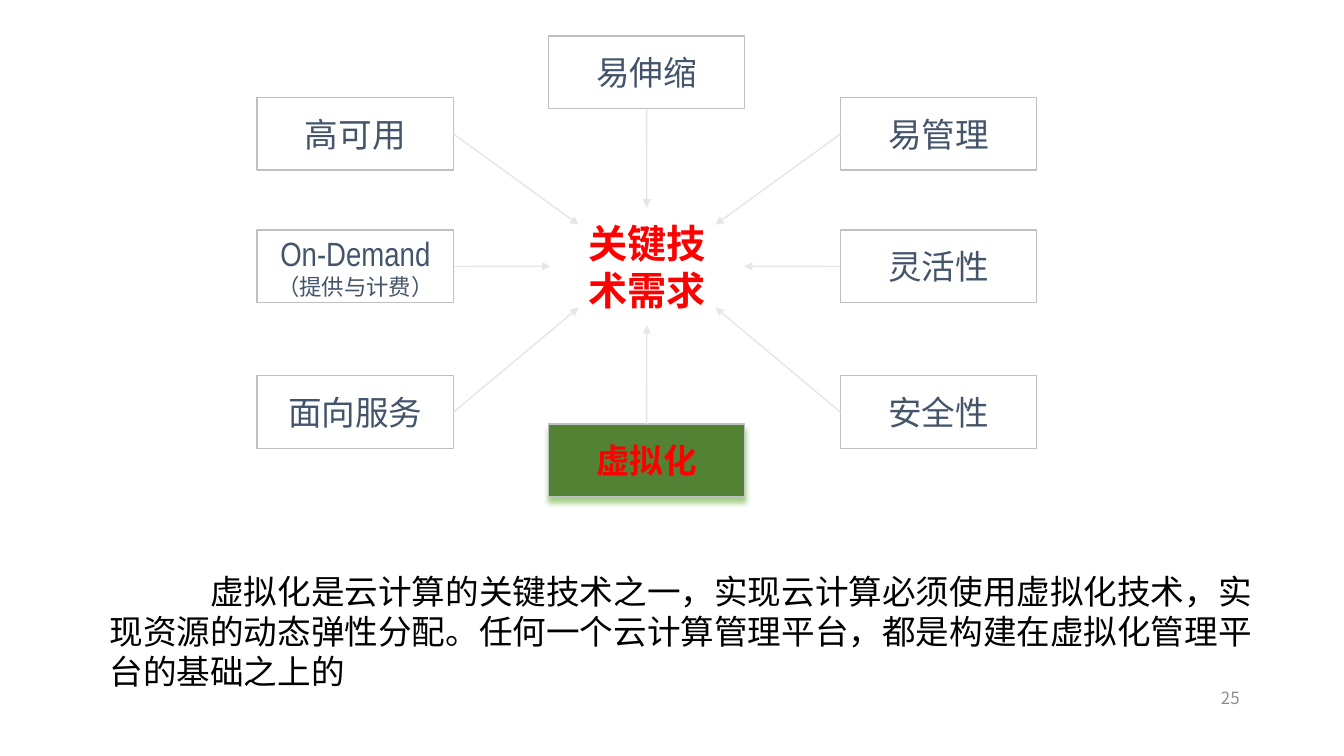
from dataclasses import dataclass
from lxml import etree
from pptx import Presentation
from pptx import util as u
from pptx.dml.color import RGBColor
from pptx.enum import shapes, text
from pptx.oxml.ns import qn


@dataclass(frozen=True)
class Theme:
    latin: str = "Arial Narrow"
    cjk: str = "Noto Sans CJK SC"
    white: str = "FFFFFF"
    border: str = "C0C0C0"
    arrow: str = "E7E6E6"
    label: str = "44546A"
    accent: str = "FF0000"
    green: str = "548235"
    glow: str = "A9D18E"
    body: str = "000000"
    muted: str = "8C8C8C"
    core_size: int = 28
    text_size: int = 24
    note_size: int = 16
    number_size: int = 12


T = Theme()


def write(sp, lines, color, font, bold=False, align=text.PP_ALIGN.CENTER,
          anchor=text.MSO_ANCHOR.MIDDLE, inset=(0.25, 0.25)):
    """Fill a shape with (wording, size) paragraphs; inset is (sides, top and bottom)."""
    tf = sp.text_frame
    tf.word_wrap = True
    tf.vertical_anchor = anchor
    tf.margin_left = tf.margin_right = u.Cm(inset[0])
    tf.margin_top = tf.margin_bottom = u.Cm(inset[1])
    tf.text = "\n".join(wording for wording, size in lines)
    for p, (wording, size) in zip(tf.paragraphs, lines):
        p.alignment = align
        r = p.runs[0]
        r.font.name = font
        r.font.size = u.Pt(size)
        r.font.bold = bold
        r.font.color.rgb = RGBColor.from_string(color)
        etree.SubElement(r.font._element, qn("a:ea")).set("typeface", T.cjk)


prs = Presentation()
prs.slide_width, prs.slide_height = u.Cm(33.87), u.Cm(19.05)
s = prs.slides.add_slide(prs.slide_layouts[6])

# Central need
core = s.shapes.add_shape(shapes.MSO_SHAPE.OVAL, u.Cm(13.44), u.Cm(5.23), u.Cm(5.72), u.Cm(2.97))
core.shadow.inherit = False
core.fill.solid()
core.fill.fore_color.rgb = RGBColor.from_string(T.white)
core.line.fill.background()
write(core, [("关键技术需求", T.core_size)], T.accent, T.latin, bold=True, inset=(0.5, 0.25))

# Requirements around it: lines, left, top, side the arrow leaves from, arrow tip
LEFT, MIDDLE, RIGHT = 6.48, 13.82, 21.18
UPPER, CENTER, LOWER = 2.46, 5.8, 9.47
TOP_SIDE, LEFT_SIDE, BOTTOM_SIDE, RIGHT_SIDE = range(4)
on_demand = [("On-Demand", T.text_size), ("（提供与计费）", T.note_size)]
requirements = [
    ([("高可用", T.text_size)], LEFT, UPPER, RIGHT_SIDE, (14.58, 5.66)),
    (on_demand, LEFT, CENTER, RIGHT_SIDE, (13.87, 6.71)),
    ([("面向服务", T.text_size)], LEFT, LOWER, RIGHT_SIDE, (14.58, 7.75)),
    ([("易伸缩", T.text_size)], MIDDLE, 0.91, BOTTOM_SIDE, (16.3, 5.23)),
    ([("虚拟化", T.text_size)], MIDDLE, 10.69, TOP_SIDE, (16.3, 8.2)),
    ([("易管理", T.text_size)], RIGHT, UPPER, LEFT_SIDE, (18.03, 5.66)),
    ([("灵活性", T.text_size)], RIGHT, CENTER, LEFT_SIDE, (18.75, 6.71)),
    ([("安全性", T.text_size)], RIGHT, LOWER, LEFT_SIDE, (18.03, 7.75)),
]
for lines, left, top, side, (tip_x, tip_y) in requirements:
    highlighted = side == TOP_SIDE
    sp = s.shapes.add_shape(shapes.MSO_SHAPE.RECTANGLE, u.Cm(left), u.Cm(top), u.Cm(4.95), u.Cm(1.83))
    sp.shadow.inherit = False
    sp.fill.solid()
    sp.fill.fore_color.rgb = RGBColor.from_string(T.green if highlighted else T.white)
    sp.line.color.rgb = RGBColor.from_string(T.border)
    sp.line.width = u.Pt(1)
    write(sp, lines, T.accent if highlighted else T.label, T.latin, bold=highlighted)
    if highlighted:
        effects = sp._element.spPr.find(qn("a:effectLst"))
        shadow = etree.SubElement(effects, qn("a:outerShdw"), blurRad=str(u.Pt(4)),
                                  dist=str(u.Pt(4)), dir="5400000", rotWithShape="0")
        etree.SubElement(shadow, qn("a:srgbClr"), val=T.glow)

    arrow = s.shapes.add_connector(shapes.MSO_CONNECTOR.STRAIGHT, u.Cm(left), u.Cm(top),
                                   u.Cm(tip_x), u.Cm(tip_y))
    arrow.begin_connect(sp, side)
    arrow.line.color.rgb = RGBColor.from_string(T.arrow)
    arrow.line.width = u.Pt(1)
    etree.SubElement(arrow.line._get_or_add_ln(), qn("a:tailEnd"), type="triangle")
    etree.SubElement(arrow._element.spPr, qn("a:effectLst"))

# Explanation with an indented first line
summary = s.shapes.add_textbox(u.Cm(2.51), u.Cm(14.25), u.Cm(29.44), u.Cm(3.33))
write(summary, [("虚拟化是云计算的关键技术之一，实现云计算必须使用虚拟化技术，实现资源的动态弹性分配。"
                 "任何一个云计算管理平台，都是构建在虚拟化管理平台的基础之上的", T.text_size)],
      T.body, T.cjk, align=text.PP_ALIGN.LEFT, anchor=text.MSO_ANCHOR.TOP, inset=(0.25, 0.13))
summary.text_frame.paragraphs[0]._p.get_or_add_pPr().set("indent", str(u.Cm(2.54)))

number = s.shapes.add_textbox(u.Cm(24.43), u.Cm(16.94), u.Cm(7.06), u.Cm(1.27))
write(number, [("25", T.number_size)], T.muted, T.cjk, align=text.PP_ALIGN.RIGHT, inset=(0.25, 0.13))

prs.save("out.pptx")
